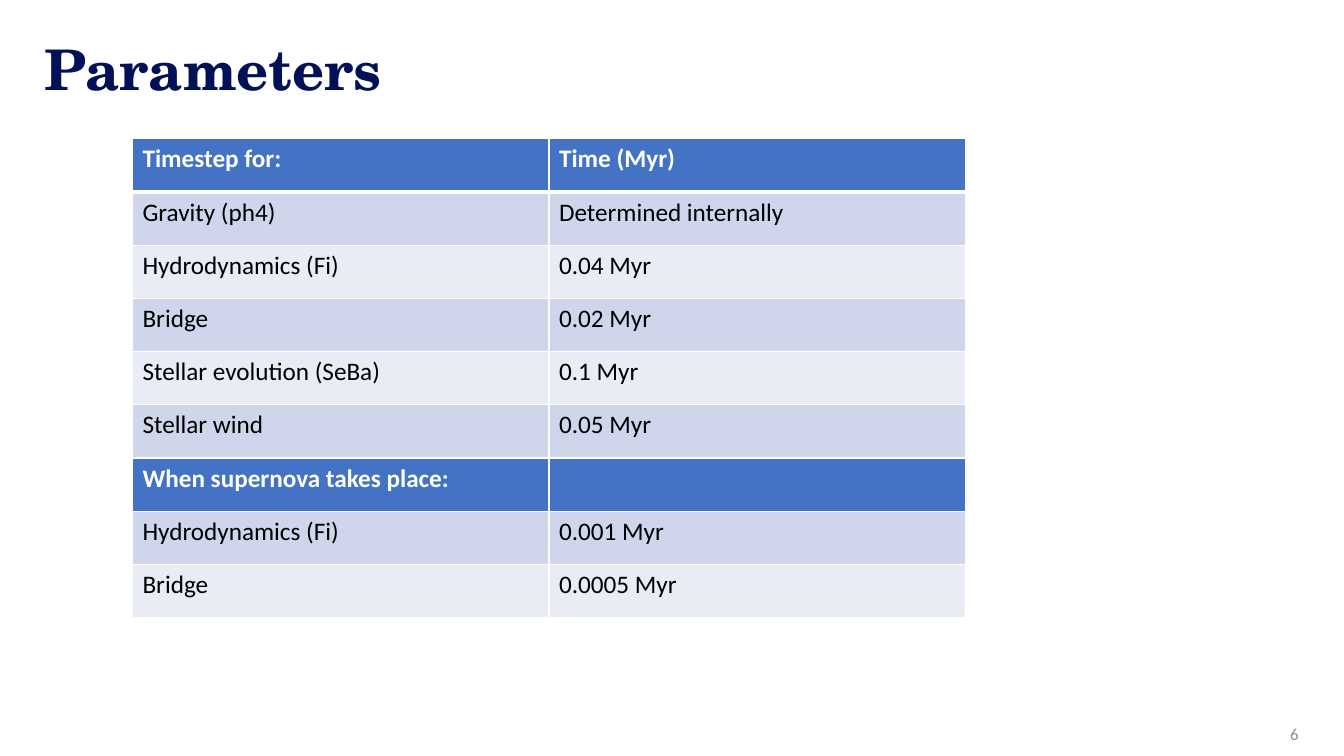
from dataclasses import dataclass

from lxml.etree import SubElement
from pptx import Presentation
from pptx.dml.color import RGBColor
from pptx.enum.text import MSO_ANCHOR, MSO_AUTO_SIZE, PP_ALIGN
from pptx.oxml.ns import qn
from pptx.util import Cm, Pt

WHITE, BLACK, NAVY, GREY = "FFFFFF", "000000", "001158", "8C8C8C"
HEADING_FILL = "4472C4"
BAND_FILLS = ("CFD5EA", "E9EBF5")
ROW_HEIGHT = Cm(1.34)
COLUMN_WIDTH = Cm(10.5)

TITLE_FORMAT = {"name": "TeX Gyre Schola", "size": Pt(40), "bold": True}
NUMBER_FORMAT = {"name": "Calibri", "size": Pt(12), "bold": False}
HEADING_FORMAT = {"name": "Calibri", "size": Pt(18), "bold": True}
BODY_FORMAT = {"name": "Calibri", "size": Pt(18), "bold": False}


@dataclass(frozen=True)
class Section:
    heading: tuple[str, str]
    rows: tuple[tuple[str, str], ...]


@dataclass(frozen=True)
class RowStyle:
    fill: str
    text_color: str
    text_format: dict
    bottom_border: float = 1


SECTIONS = (
    Section(("Timestep for:", "Time (Myr)"), (
        ("Gravity (ph4)", "Determined internally"),
        ("Hydrodynamics (Fi)", "0.04 Myr"),
        ("Bridge", "0.02 Myr"),
        ("Stellar evolution (SeBa)", "0.1 Myr"),
        ("Stellar wind", "0.05 Myr"),
    )),
    Section(("When supernova takes place:", ""), (
        ("Hydrodynamics (Fi)", "0.001 Myr"),
        ("Bridge", "0.0005 Myr"),
    )),
)


def color(hex_value: str) -> RGBColor:
    return RGBColor.from_string(hex_value)


def write_text(text_frame, text: str, text_format: dict, text_color: str,
               alignment=PP_ALIGN.LEFT) -> None:
    paragraph = text_frame.paragraphs[0]
    paragraph.alignment = alignment
    if not text:
        return
    run = paragraph.add_run()
    run.text = text
    for name, value in text_format.items():
        setattr(run.font, name, value)
    run.font.color.rgb = color(text_color)


def set_borders(cell, widths: dict[str, float]) -> None:
    """Add white cell borders; call before the cell gets its fill."""
    properties = cell._tc.get_or_add_tcPr()
    for side, width in widths.items():
        line = SubElement(properties, qn(f"a:{side}"), w=str(Pt(width)))
        fill = SubElement(line, qn("a:solidFill"))
        SubElement(fill, qn("a:srgbClr"), val=WHITE)


def add_title(slide, text: str) -> None:
    title = slide.shapes.title
    position = {"left": Cm(1.12), "top": Cm(1.12), "width": Cm(31.62), "height": Cm(1.2)}
    for name, value in position.items():
        setattr(title, name, value)
    frame_format = {"margin_left": 0, "margin_right": 0, "margin_top": 0, "margin_bottom": 0,
                    "vertical_anchor": MSO_ANCHOR.MIDDLE, "auto_size": MSO_AUTO_SIZE.NONE,
                    "word_wrap": True}
    for name, value in frame_format.items():
        setattr(title.text_frame, name, value)
    write_text(title.text_frame, text, TITLE_FORMAT, NAVY)


def add_slide_number(slide, number: str) -> None:
    box = slide.shapes.add_textbox(Cm(25.37), Cm(17.98), Cm(7.62), Cm(1.02))
    box.text_frame.word_wrap = True
    box.text_frame.vertical_anchor = MSO_ANCHOR.MIDDLE
    write_text(box.text_frame, number, NUMBER_FORMAT, GREY, PP_ALIGN.RIGHT)


def styled_rows(sections: tuple[Section, ...]) -> list[tuple[tuple[str, str], RowStyle]]:
    """Give each section a blue heading and alternate the bands below it."""
    result = []
    for section in sections:
        bottom_border = 1 if result else 3
        result.append((section.heading,
                       RowStyle(HEADING_FILL, WHITE, HEADING_FORMAT, bottom_border)))
        for index, row in enumerate(section.rows):
            result.append((row, RowStyle(BAND_FILLS[index % 2], BLACK, BODY_FORMAT)))
    return result


def add_parameter_table(slide, sections: tuple[Section, ...]) -> None:
    rows = styled_rows(sections)
    table = slide.shapes.add_table(len(rows), 2, Cm(3.34), Cm(3.5),
                                   COLUMN_WIDTH * 2, ROW_HEIGHT * len(rows)).table
    for column in table.columns:
        column.width = COLUMN_WIDTH
    top_border = 1
    for table_row, (texts, style) in zip(table.rows, rows):
        table_row.height = ROW_HEIGHT
        for cell, text in zip(table_row.cells, texts):
            set_borders(cell, {"lnL": 1, "lnR": 1, "lnT": top_border,
                               "lnB": style.bottom_border})
            cell.fill.solid()
            cell.fill.fore_color.rgb = color(style.fill)
            write_text(cell.text_frame, text, style.text_format, style.text_color)
        top_border = style.bottom_border


def main() -> None:
    presentation = Presentation()
    presentation.slide_width = Cm(33.88)
    presentation.slide_height = Cm(19.05)
    title_only = presentation.slide_layouts[5]
    slide = presentation.slides.add_slide(title_only)

    # Title and page number
    add_title(slide, "Parameters")
    add_slide_number(slide, "6")

    # Timestep table
    add_parameter_table(slide, SECTIONS)

    presentation.save("out.pptx")


if __name__ == "__main__":
    main()
